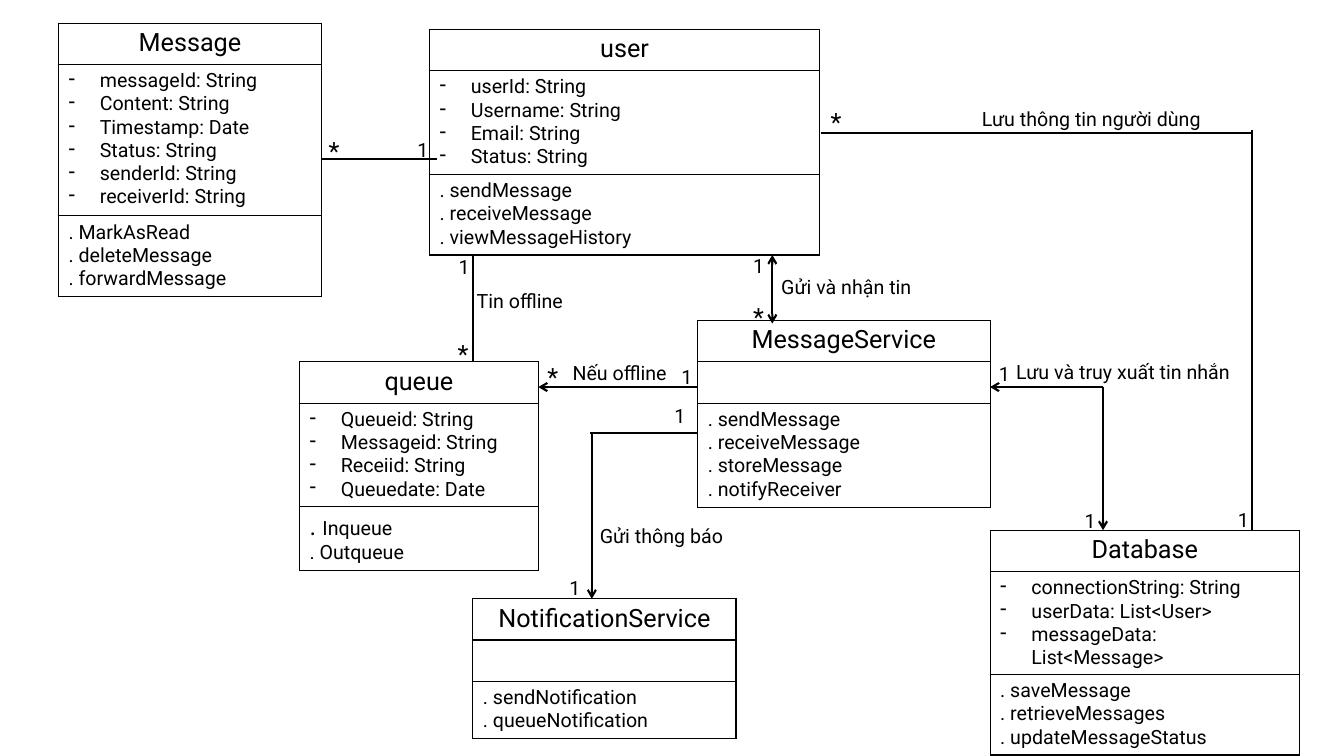
"""Build a UML class diagram slide of a messaging system."""
from dataclasses import dataclass

from lxml import etree
from pptx import Presentation
from pptx import util as u
from pptx.dml import color
from pptx.enum import shapes, text
from pptx.oxml import ns


@dataclass(frozen=True)
class Theme:
    """Colours, type sizes and line widths of the diagram."""
    ink: str = "000000"
    font: str = "Roboto"
    heading: int = 18
    body: int = 14
    border: float = 1
    link: float = 1.5


def apply(target, values):
    """Set every attribute named in a dict on the target."""
    for name, value in values.items():
        setattr(target, name, value)


class Diagram:
    """Draw class boxes, links and labels on a grid of tenths of an inch."""
    COLUMNS, ROWS = 133.3, 75
    HEADER, PADDING = 4.1, 1

    def __init__(self, deck, theme):
        """Add a blank slide and work out the grid."""
        self.theme = theme
        self.slide = deck.slides.add_slide(deck.slide_layouts[6])
        self.column = deck.slide_width / self.COLUMNS
        self.row = deck.slide_height / self.ROWS

    def place(self, *lengths):
        """Turn alternating columns and rows into slide lengths."""
        return [round(n * (self.row if i % 2 else self.column))
                for i, n in enumerate(lengths)]

    def add_wording(self, paragraph, wording, size):
        """Add a run in the theme's font."""
        run = paragraph.add_run()
        run.text = wording
        apply(run.font, {"size": u.Pt(size), "name": self.theme.font})
        run.font.color.rgb = color.RGBColor.from_string(self.theme.ink)

    def outline(self, cell):
        """Leave the cell unfilled and rule its four sides."""
        cell.fill.background()
        properties = cell._tc.get_or_add_tcPr()
        for i, side in enumerate("LRTB"):
            edge = etree.Element(ns.qn(f"a:ln{side}"), w=str(u.Pt(self.theme.border)))
            fill = etree.SubElement(edge, ns.qn("a:solidFill"))
            etree.SubElement(fill, ns.qn("a:srgbClr"), val=self.theme.ink)
            properties.insert(i, edge)

    def bullet(self, paragraph):
        """Give a paragraph a hanging dash."""
        properties = paragraph._p.get_or_add_pPr()
        indent = u.Inches(0.31)
        for name, value in {"marL": indent, "indent": -indent}.items():
            properties.set(name, str(value))
        etree.SubElement(properties, ns.qn("a:buChar"), char="-")

    def class_box(self, name, place, attributes, methods, first_dot=None):
        """Add a class as a table of name, attributes and methods."""
        dots = [first_dot or self.theme.body] + [self.theme.body] * (len(methods) - 1)
        method_rows = self.PADDING + sum(dots) / 6
        attribute_rows = max(self.HEADER, place[3] - self.HEADER - method_rows)
        table = self.slide.shapes.add_table(3, 1, *self.place(*place)).table
        apply(table, {"first_row": False, "horz_banding": False})
        for band, rows in zip(table.rows, (self.HEADER, attribute_rows, method_rows)):
            band.height = round(rows * self.row)
        title, fields, actions = (table.cell(i, 0) for i in range(3))
        for cell in (title, fields, actions):
            self.outline(cell)
        heading = title.text_frame.paragraphs[0]
        heading.alignment = text.PP_ALIGN.CENTER
        self.add_wording(heading, name, self.theme.heading)
        for i, attribute in enumerate(attributes):
            line = self.line_of(fields, i)
            self.bullet(line)
            self.add_wording(line, attribute, self.theme.body)
        for i, (method, dot) in enumerate(zip(methods, dots)):
            line = self.line_of(actions, i)
            if dot == self.theme.body:
                self.add_wording(line, f". {method}", dot)
            else:
                self.add_wording(line, ". ", dot)
                self.add_wording(line, method, self.theme.body)

    def line_of(self, cell, index):
        """Return the first paragraph of a cell or add the next one."""
        frame = cell.text_frame
        return frame.add_paragraph() if index else frame.paragraphs[0]

    def link(self, ends, arrows=()):
        """Add a straight line with open arrowheads at the named ends."""
        link = self.slide.shapes.add_connector(
            shapes.MSO_CONNECTOR.STRAIGHT, *self.place(*ends))
        link.line.color.rgb = color.RGBColor.from_string(self.theme.ink)
        link.line.width = u.Pt(self.theme.link)
        stroke = link.line._get_or_add_ln()
        for end in arrows:
            etree.SubElement(stroke, ns.qn(f"a:{end}End"), type="arrow")
        etree.SubElement(link._element.spPr, ns.qn("a:effectLst"))

    def label(self, wording, left, top, width):
        """Add a link name or a multiplicity."""
        size = self.theme.heading if wording == "*" else self.theme.body
        height = 4 if wording == "*" else 3.4
        box = self.slide.shapes.add_textbox(*self.place(left, top, width, height))
        apply(box.text_frame, {"word_wrap": True,
                               "auto_size": text.MSO_AUTO_SIZE.SHAPE_TO_FIT_TEXT})
        self.add_wording(box.text_frame.paragraphs[0], wording, size)


CLASSES = [
    ("user", (42.6, 2.9, 38.7, 22.4),
     ["userId: String", "Username: String", "Email: String", "Status: String"],
     ["sendMessage", "receiveMessage", "viewMessageHistory"]),
    ("Message", (5.8, 2.3, 26.1, 27.1),
     ["messageId: String", "Content: String", "Timestamp: Date",
      "Status: String", "senderId: String", "receiverId: String"],
     ["MarkAsRead", "deleteMessage", "forwardMessage"]),
    ("MessageService", (69.2, 31.8, 29, 18.4), [],
     ["sendMessage", "receiveMessage", "storeMessage", "notifyReceiver"]),
    ("NotificationService", (46.9, 59.4, 26.1, 13.8), [],
     ["sendNotification", "queueNotification"]),
    ("Database", (98.2, 52.6, 30.7, 22.2),
     ["connectionString: String", "userData: List<User>", "messageData: List<Message>"],
     ["saveMessage", "retrieveMessages", "updateMessageStatus"]),
    ("queue", (29.7, 35.9, 23.7, 20.7),
     ["Queueid: String", "Messageid: String", "Receiid: String", "Queuedate: Date"],
     ["Inqueue", "Outqueue"], Theme.heading),
]

LINKS = [
    ((81.4, 13.2, 124.2, 13.2),),
    ((124.2, 12.9, 124.2, 52.7),),
    ((98.2, 38.4, 109.4, 38.4), ["head"]),
    ((109.4, 38.4, 109.4, 52.6), ["tail"]),
    ((31.8, 15.8, 43.3, 15.8),),
    ((76.6, 25.3, 76.6, 32.1), ["head", "tail"]),
    ((69.1, 43, 58.5, 43),),
    ((58.7, 43, 58.7, 59.4), ["tail"]),
    ((46.9, 25.3, 46.9, 35.9),),
    ((53.4, 38.4, 69.1, 38.4), ["head"]),
]

LABELS = [
    ("1", 40.4, 13.2, 2.2), ("*", 31.6, 12.9, 6.8),
    ("1", 73.7, 24.7, 7.1), ("*", 73.7, 29.4, 7.1),
    ("Gửi và nhận tin", 76.5, 26.8, 17.7),
    ("*", 81.4, 10.1, 6.3), ("1", 121.8, 49.9, 2.1),
    ("Lưu thông tin người dùng", 96.4, 10.1, 28.9),
    ("1", 98.1, 35.4, 7.6), ("1", 106.6, 50, 6.1),
    ("Lưu và truy xuất tin nhắn", 99.8, 35.2, 25.2),
    ("1", 65.9, 39.6, 6), ("1", 55.5, 56.6, 8.3),
    ("Gửi thông báo", 58.5, 51.5, 22.1),
    ("1", 44.5, 24.8, 5.2), ("*", 44.4, 33.1, 9.8),
    ("Tin offline", 46.3, 28.2, 16.8),
    ("*", 53.3, 35.4, 9.8), ("1", 66.6, 35.7, 5.2),
    ("Nếu offline", 55.8, 35.3, 16.8),
]


def main():
    """Draw the diagram and save the deck."""
    deck = Presentation()
    apply(deck, {"slide_width": u.Inches(13.33), "slide_height": u.Inches(7.5)})
    diagram = Diagram(deck, Theme())
    for draw, entries in ((diagram.class_box, CLASSES), (diagram.link, LINKS),
                          (diagram.label, LABELS)):
        for entry in entries:
            draw(*entry)
    deck.save("out.pptx")


if __name__ == "__main__":
    main()
